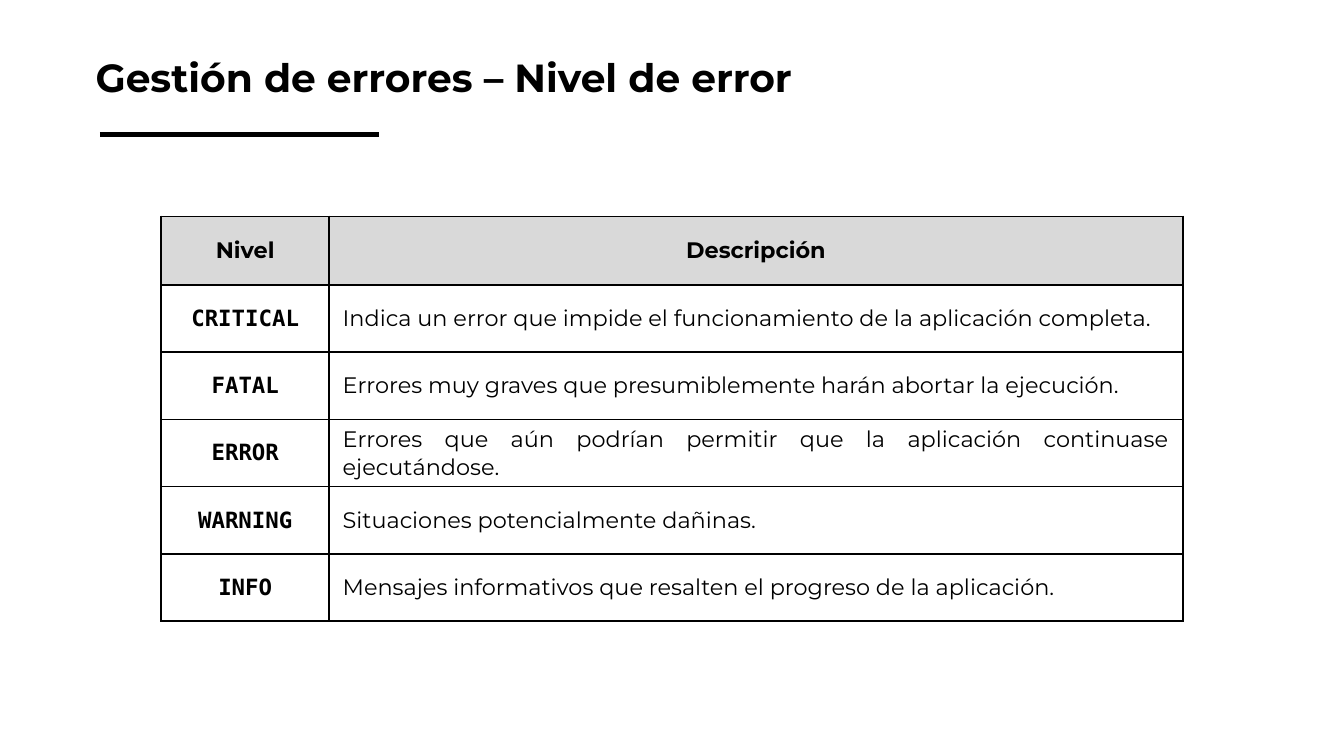
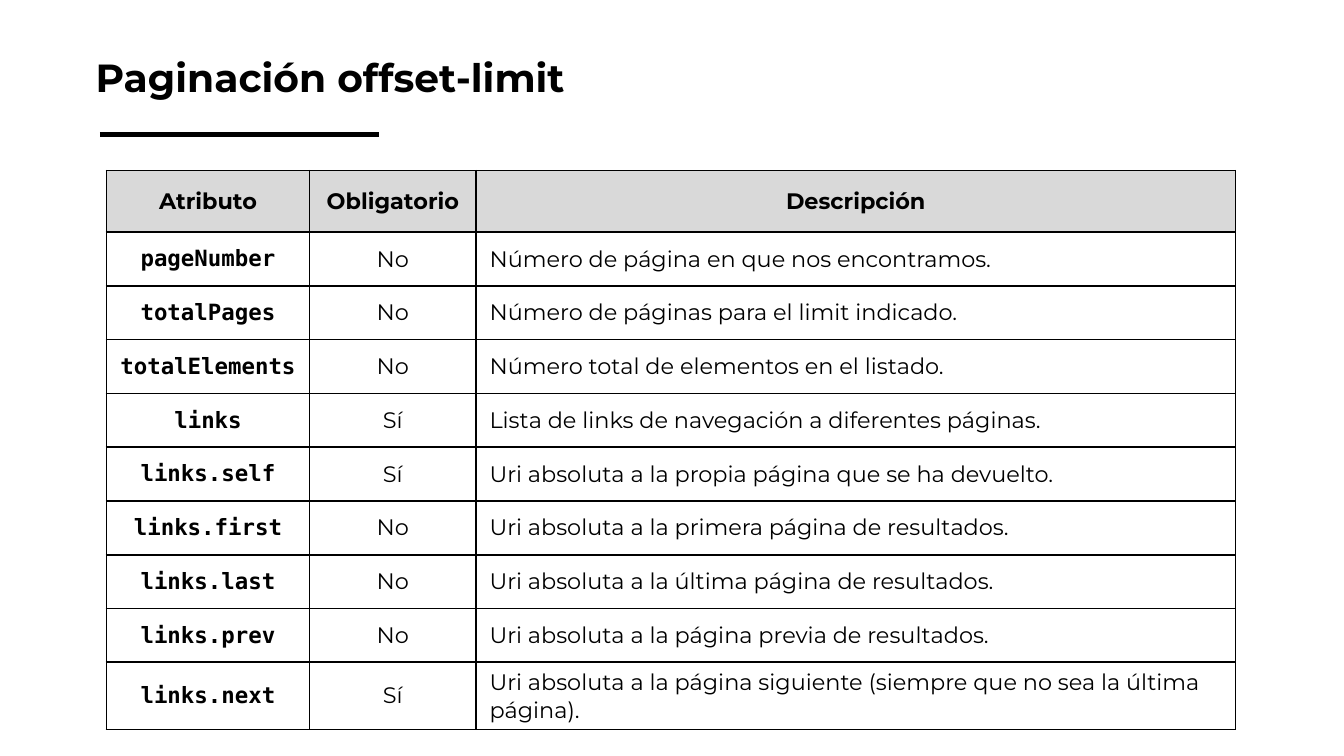
from dataclasses import dataclass

from lxml.etree import SubElement as Sub
from pptx import Presentation
from pptx.dml.color import RGBColor as RGB
from pptx.enum.shapes import MSO_CONNECTOR as Conn
from pptx.enum.text import MSO_ANCHOR as Anchor
from pptx.enum.text import MSO_AUTO_SIZE as Fit
from pptx.enum.text import PP_ALIGN as Align
from pptx.oxml.ns import qn
from pptx.presentation import Presentation as Deck
from pptx.slide import Slide
from pptx.table import _Cell as Cell
from pptx.text.text import _Paragraph as Para
from pptx.util import Pt


# Colours, fonts and sizes
@dataclass(frozen=True)
class Theme:
    ink: str = "000000"
    paper: str = "FFFFFF"
    head: str = "D9D9D9"
    sans: str = "Montserrat"
    mono: str = "DejaVu Sans Mono"
    title: float = 21
    body: float = 12
    rule: float = 3
    edge: float = 1


THEME = Theme()


# A column: heading, width, and the look of its body cells
@dataclass(frozen=True)
class Column:
    label: str
    width: float
    align: Align = Align.CENTER
    code: bool = False


@dataclass(frozen=True)
class Grid:
    left: float
    top: float
    head: float
    row: float
    cols: tuple[Column, ...]
    rows: tuple[tuple[str, ...], ...]


@dataclass(frozen=True)
class Page:
    title: str
    grid: Grid


PAGES = (
    Page("Gestión de errores – Nivel de error", Grid(
        86.4, 116, 36.72, 36,
        (Column("Nivel", 90, code=True),
         Column("Descripción", 457.2, Align.JUSTIFY)),
        (("CRITICAL", "Indica un error que impide el funcionamiento de la aplicación completa."),
         ("FATAL", "Errores muy graves que presumiblemente harán abortar la ejecución."),
         ("ERROR", "Errores que aún podrían permitir que la aplicación continuase ejecutándose."),
         ("WARNING", "Situaciones potencialmente dañinas."),
         ("INFO", "Mensajes informativos que resalten el progreso de la aplicación.")))),
    Page("Paginación offset-limit", Grid(
        57, 91.4, 33, 28.8,
        (Column("Atributo", 108.9, code=True),
         Column("Obligatorio", 89.2),
         Column("Descripción", 406.8, Align.LEFT)),
        (("pageNumber", "No", "Número de página en que nos encontramos."),
         ("totalPages", "No", "Número de páginas para el limit indicado."),
         ("totalElements", "No", "Número total de elementos en el listado."),
         ("links", "Sí", "Lista de links de navegación a diferentes páginas."),
         ("links.self", "Sí", "Uri absoluta a la propia página que se ha devuelto."),
         ("links.first", "No", "Uri absoluta a la primera página de resultados."),
         ("links.last", "No", "Uri absoluta a la última página de resultados."),
         ("links.prev", "No", "Uri absoluta a la página previa de resultados."),
         ("links.next", "Sí",
          "Uri absoluta a la página siguiente (siempre que no sea la última página).")))),
)


def apply(target: object, values: dict[str, object]) -> None:
    for name, value in values.items():
        setattr(target, name, value)


def write(para: Para, text: str, size: float, font: str, bold: bool, align: Align) -> None:
    para.alignment = align
    run = para.add_run()
    run.text = text
    apply(run.font, {"name": font, "size": Pt(size), "bold": bold})
    run.font.color.rgb = RGB.from_string(THEME.ink)


# Title and the rule below it
def add_title(slide: Slide, text: str) -> None:
    title = slide.shapes.title
    apply(title, {"left": Pt(44), "top": Pt(17.3), "width": Pt(473), "height": Pt(44)})
    frame = title.text_frame
    inset = {f"margin_{side}": Pt(7.2) for side in ("left", "top", "right", "bottom")}
    apply(frame, {**inset, "word_wrap": True, "vertical_anchor": Anchor.MIDDLE,
                  "auto_size": Fit.SHAPE_TO_FIT_TEXT})
    para = frame.paragraphs[0]
    apply(para, {"line_spacing": 1.15, "space_before": Pt(0)})
    write(para, text, THEME.title, THEME.sans, True, Align.LEFT)

    rule = slide.shapes.add_connector(Conn.STRAIGHT, Pt(53.5), Pt(72), Pt(203), Pt(72))
    rule.line.width = Pt(THEME.rule)
    rule.line.color.rgb = RGB.from_string(THEME.ink)
    Sub(rule._element.spPr, qn("a:effectLst"))


# Table cells: borders come before the fill in the cell's XML
def add_edges(cell: Cell) -> None:
    props = cell._tc.get_or_add_tcPr()
    for side in "LRTB":
        line = Sub(props, qn(f"a:ln{side}"), w=str(Pt(THEME.edge)))
        Sub(Sub(line, qn("a:solidFill")), qn("a:srgbClr"), val=THEME.ink)


def fill_cell(cell: Cell, text: str, col: Column, head: bool) -> None:
    add_edges(cell)
    cell.vertical_anchor = Anchor.MIDDLE
    if head:
        cell.fill.solid()
        cell.fill.fore_color.rgb = RGB.from_string(THEME.head)
    else:
        cell.fill.background()
    code = col.code and not head
    write(cell.text_frame.paragraphs[0], text, THEME.body,
          THEME.mono if code else THEME.sans, head or code,
          Align.CENTER if head else col.align)


def add_grid(slide: Slide, grid: Grid) -> None:
    rows = (tuple(col.label for col in grid.cols), *grid.rows)
    width = sum(col.width for col in grid.cols)
    height = grid.head + grid.row * len(grid.rows)
    table = slide.shapes.add_table(len(rows), len(grid.cols), Pt(grid.left), Pt(grid.top),
                                   Pt(width), Pt(height)).table
    apply(table, {"first_row": False, "horz_banding": False})
    for c, col in enumerate(grid.cols):
        table.columns[c].width = Pt(col.width)
    for r, row in enumerate(rows):
        table.rows[r].height = Pt(grid.row if r else grid.head)
        for c, text in enumerate(row):
            fill_cell(table.cell(r, c), text, grid.cols[c], r == 0)


def add_page(deck: Deck, page: Page) -> None:
    slide = deck.slides.add_slide(deck.slide_layouts.get_by_name("Title Only"))
    add_title(slide, page.title)
    add_grid(slide, page.grid)


def main() -> None:
    deck = Presentation()
    apply(deck, {"slide_width": Pt(720), "slide_height": Pt(405)})
    back = deck.slide_master.background.fill
    back.solid()
    back.fore_color.rgb = RGB.from_string(THEME.paper)
    for page in PAGES:
        add_page(deck, page)
    deck.save("out.pptx")


if __name__ == "__main__":
    main()
